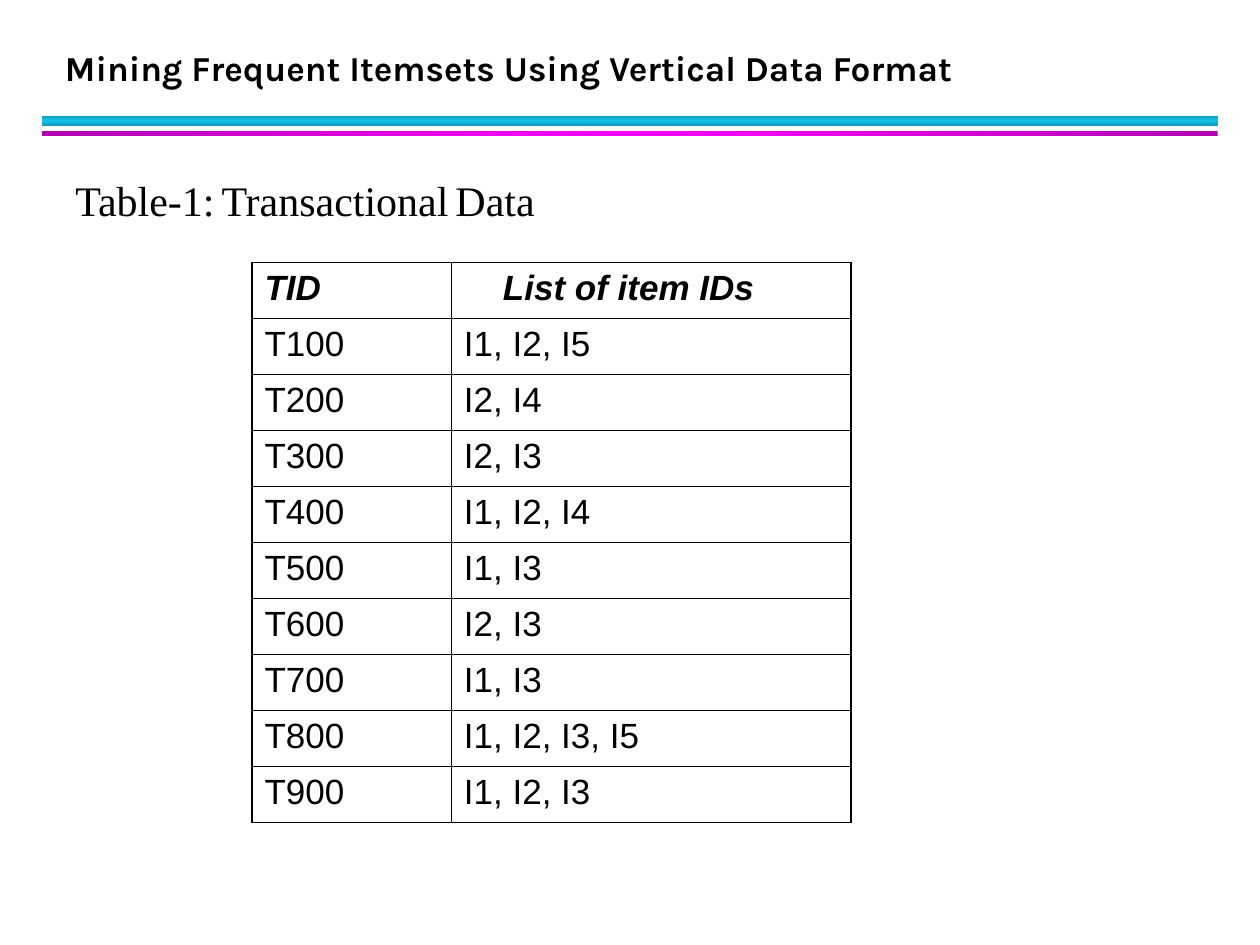
import copy

import lxml.etree
import pptx
import pptx.dml.color
import pptx.enum.shapes
import pptx.enum.text
import pptx.oxml.ns
import pptx.util

Cm = pptx.util.Cm
Pt = pptx.util.Pt
RGBColor = pptx.dml.color.RGBColor

BLACK = RGBColor(0x00, 0x00, 0x00)
DARK_CYAN = RGBColor(0x0E, 0x9B, 0xBA)
CYAN = RGBColor(0x12, 0xC2, 0xE9)
DARK_MAGENTA = RGBColor(0xB2, 0x00, 0xB2)
MAGENTA = RGBColor(0xFF, 0x00, 0xFF)

TITLE = {"name": "Karla", "size": Pt(20), "bold": True, "italic": False}
CAPTION = {"name": "Times New Roman", "size": Pt(24), "bold": False, "italic": False}
CAPTION_GAP = {"name": "Arial", "size": Pt(14), "bold": True, "italic": False}
HEADING = {"name": "Arial", "size": Pt(20), "bold": True, "italic": True}
BODY = {"name": "Arial", "size": Pt(20), "bold": False, "italic": False}


def add_text(paragraph, words, style):
    run = paragraph.add_run()
    run.text = words
    for attribute, value in style.items():
        setattr(run.font, attribute, value)
    run.font.color.rgb = BLACK


def add_border(cell, position, side, width):
    line = lxml.etree.Element(pptx.oxml.ns.qn(f"a:ln{side}"), w=str(Pt(width)))
    solid = lxml.etree.SubElement(line, pptx.oxml.ns.qn("a:solidFill"))
    lxml.etree.SubElement(solid, pptx.oxml.ns.qn("a:srgbClr"), val=str(BLACK))
    cell._tc.get_or_add_tcPr().insert(position, line)


deck = pptx.Presentation()
deck.slide_width = Cm(25.4)
deck.slide_height = Cm(19.05)
slide = deck.slides.add_slide(deck.slide_layouts[6])

for top, height, edge, middle, angle in [
    (2.33, 0.21, DARK_CYAN, CYAN, 90),
    (2.64, 0.1, DARK_MAGENTA, MAGENTA, 0),
]:
    rule = slide.shapes.add_shape(
        pptx.enum.shapes.MSO_SHAPE.RECTANGLE, Cm(0.85), Cm(top), Cm(23.7), Cm(height)
    )
    rule.shadow.inherit = False
    rule.line.fill.background()
    rule.fill.gradient()
    rule.fill.gradient_angle = angle
    stops = rule._element.spPr.find(".//" + pptx.oxml.ns.qn("a:gsLst"))
    stops.append(copy.deepcopy(stops[0]))
    for stop, position, color in zip(
        rule.fill.gradient_stops, (0, 0.5, 1), (edge, middle, edge)
    ):
        stop.position = position
        stop.color.rgb = color

transactions = [
    ("TID", "List of item IDs"),
    ("T100", "I1, I2, I5"),
    ("T200", "I2, I4"),
    ("T300", "I2, I3"),
    ("T400", "I1, I2, I4"),
    ("T500", "I1, I3"),
    ("T600", "I2, I3"),
    ("T700", "I1, I3"),
    ("T800", "I1, I2, I3, I5"),
    ("T900", "I1, I2, I3"),
]
last = len(transactions) - 1
grid = slide.shapes.add_table(
    len(transactions), 2, Cm(5.08), Cm(5.29), Cm(12.07), Cm(11.3)
).table
grid.first_row = False
grid.horz_banding = False
for column, width in zip(grid.columns, (4.02, 8.05)):
    column.width = Cm(width)

for r, record in enumerate(transactions):
    grid.rows[r].height = Cm(1.13)
    for c, words in enumerate(record):
        cell = grid.cell(r, c)
        cell.fill.background()
        outer_sides = {"L": c == 0, "R": c == 1, "T": r == 0, "B": r == last}
        for position, (side, outer) in enumerate(outer_sides.items()):
            add_border(cell, position, side, 1.08 if outer else 0.45)
        add_text(cell.text_frame.paragraphs[0], words, HEADING if r == 0 else BODY)
grid.cell(0, 1).margin_left = Cm(1.04)

caption = slide.shapes.add_textbox(Cm(1.27), Cm(3.39), Cm(11.64), Cm(1.28)).text_frame
caption.word_wrap = True
for words, style in [
    ("Table-1:", CAPTION),
    (" ", CAPTION_GAP),
    ("Transactional", CAPTION),
    (" ", CAPTION_GAP),
    ("Data", CAPTION),
]:
    add_text(caption.paragraphs[0], words, style)

title = slide.shapes.add_textbox(Cm(1.06), Cm(0.42), Cm(23), Cm(1.48)).text_frame
title.word_wrap = True
title.vertical_anchor = pptx.enum.text.MSO_ANCHOR.BOTTOM
title.paragraphs[0].line_spacing = Pt(36)
add_text(title.paragraphs[0], "Mining Frequent Itemsets Using Vertical Data Format", TITLE)

deck.save("out.pptx")
